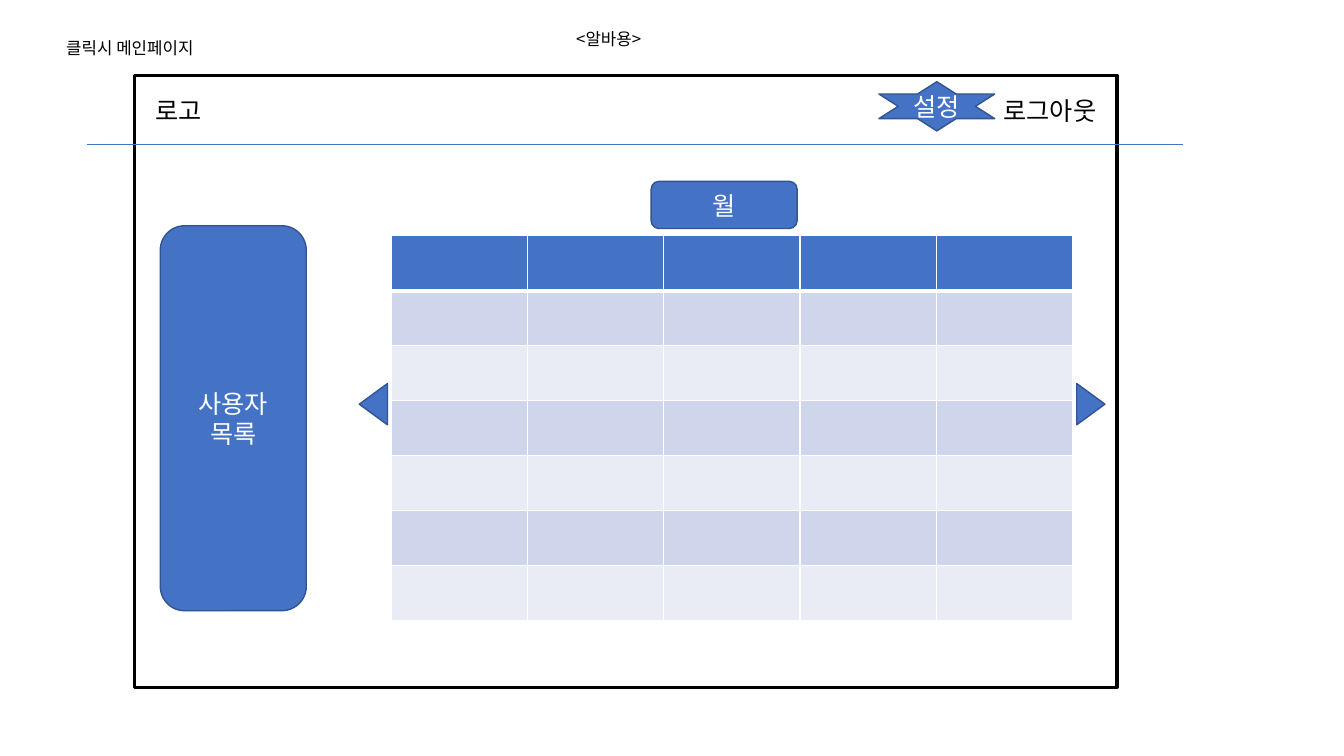
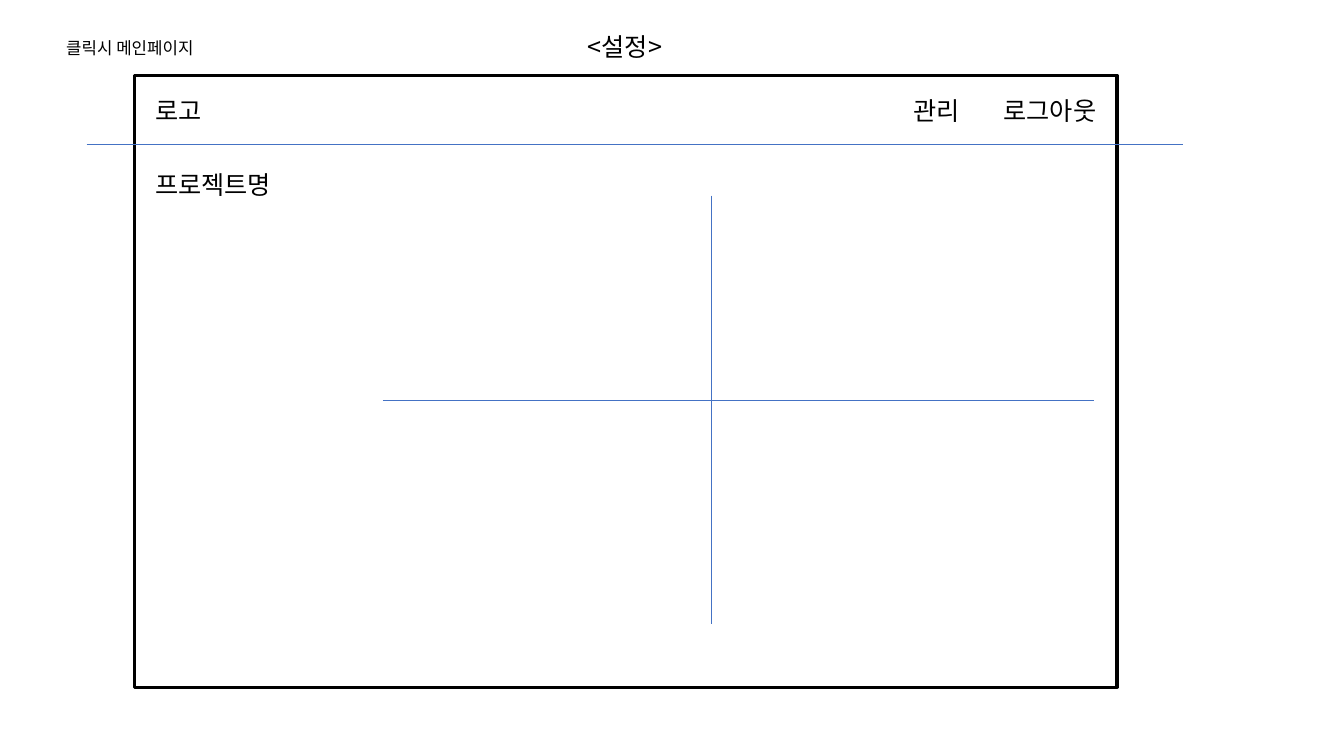
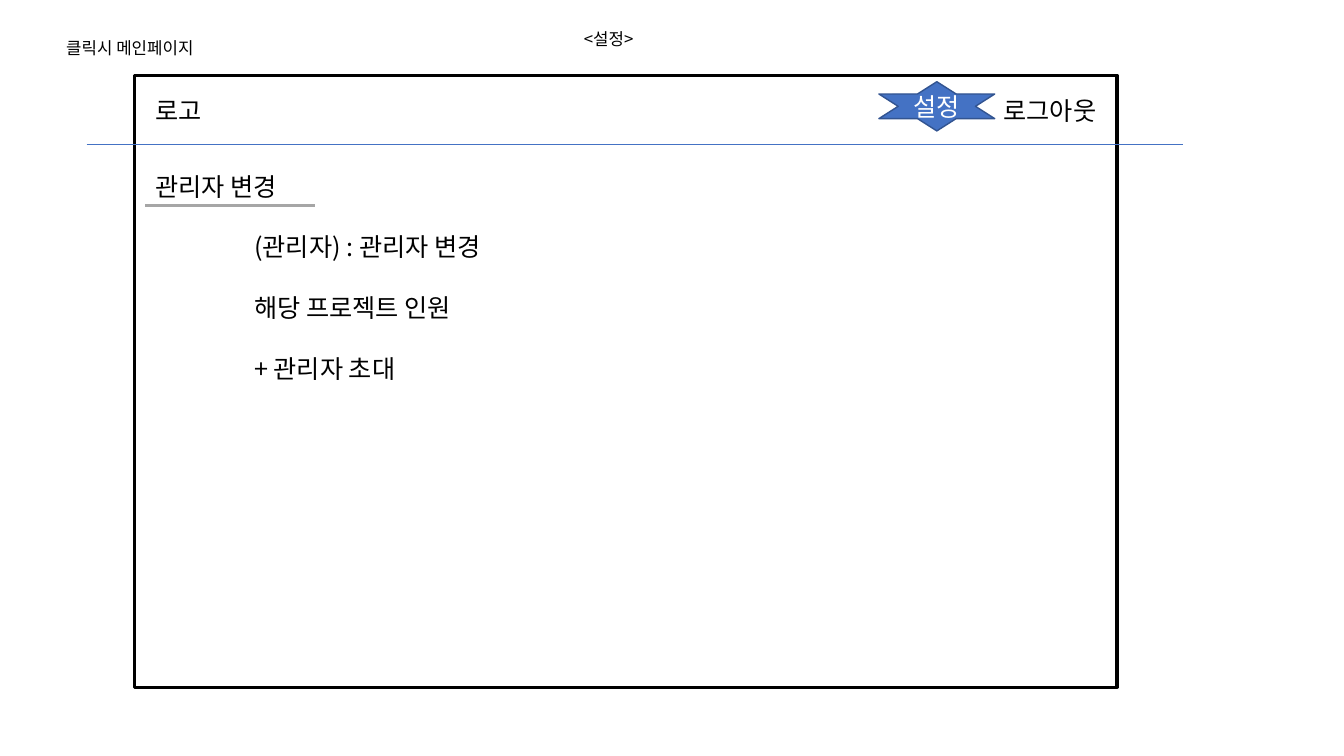
from lxml import etree
from pptx import Presentation
from pptx.dml.color import RGBColor
from pptx.enum import shapes, text
from pptx.oxml.ns import qn
from pptx.util import Cm, Pt

FONT = "Noto Sans CJK KR"
BLACK = RGBColor(0x00, 0x00, 0x00)
WHITE = RGBColor(0xFF, 0xFF, 0xFF)
BLUE = RGBColor(0x44, 0x72, 0xC4)
NAVY = RGBColor(0x32, 0x54, 0x91)
GRAY = RGBColor(0xA6, 0xA6, 0xA6)
BANDS = [RGBColor(0xE9, 0xEB, 0xF5), RGBColor(0xCF, 0xD5, 0xEA)]
SHAPE = shapes.MSO_SHAPE
LEFT, CENTER = text.PP_ALIGN.LEFT, text.PP_ALIGN.CENTER
TOP, MIDDLE = text.MSO_ANCHOR.TOP, text.MSO_ANCHOR.MIDDLE


def write(sp, lines, size=18, color=BLACK, align=LEFT, anchor=TOP, wrap=True, gap=0):
    tf = sp.text_frame
    frame_format = {"word_wrap": wrap, "vertical_anchor": anchor,
                    "auto_size": text.MSO_AUTO_SIZE.NONE}
    for name, value in frame_format.items():
        setattr(tf, name, value)
    tf.text = "\n".join(lines)
    para_format = {"alignment": align, "line_spacing": Pt(size * 1.22),
                   "space_before": Pt(0), "space_after": Pt(gap)}
    for p in tf.paragraphs:
        for name, value in para_format.items():
            setattr(p, name, value)
        for r in p.runs:
            r.font.size, r.font.bold, r.font.name = Pt(size), False, FONT
            r.font.color.rgb = color
    for rPr in sp.element.iter(qn("a:rPr")):
        etree.SubElement(rPr, qn("a:ea"), typeface=FONT)


def rule(s, x1, y1, x2, y2, color=BLUE, width=0.5):
    ln = s.shapes.add_connector(shapes.MSO_CONNECTOR.STRAIGHT,
                                Cm(x1), Cm(y1), Cm(x2), Cm(y2))
    ln.line.color.rgb, ln.line.width = color, Pt(width)
    etree.SubElement(ln.element.spPr, qn("a:effectLst"))


prs = Presentation()
prs.slide_width, prs.slide_height = Cm(33.87), Cm(19.05)

SMALL_TITLE = (12.42, 0.58, 5.84, 0.76)
LARGE_TITLE = (11.43, 0.64, 8.64, 1.02)
SHARED_LABELS = [
    ("로고", 12, 0) and ("로고", 18, (3.66, 2.26, 3.35, 1.02)),
    ("로그아웃", 18, (25.04, 2.26, 3.35, 1.02)),
    ("클릭시 메인페이지", 12, (1.42, 0.81, 5.84, 0.76)),
][0:3]
STAR = (SHAPE.STAR_6_POINT, (22.15, 2.06, 2.92, 1.24), 0, "설정")

pages = [
    {"layout": 5, "title": ("<알바용>", 12, SMALL_TITLE), "labels": [], "rules": [],
     "blocks": [
         (SHAPE.ROUNDED_RECTANGLE, (4.04, 5.69, 3.68, 9.7), 0, "사용자 목록"),
         (SHAPE.ISOSCELES_TRIANGLE, (8.89, 9.83, 1.04, 0.71), 270, ""),
         (SHAPE.ISOSCELES_TRIANGLE, (26.97, 9.83, 1.04, 0.71), 90, ""),
         (SHAPE.ROUNDED_RECTANGLE, (16.41, 4.57, 3.68, 1.19), 0, "월"),
         STAR]},
    {"layout": 5, "title": ("<설정>", 18, LARGE_TITLE),
     "labels": [("관리", 18, (22.78, 2.26, 1.98, 1.02)),
                ("프로젝트명", 18, (3.66, 4.14, 4.34, 1.02))],
     "rules": [(9.65, 10.08, 27.58, 10.08), (17.93, 4.93, 17.93, 15.72)],
     "blocks": []},
    {"layout": 1, "title": ("<설정>", 12, SMALL_TITLE),
     "labels": [("관리자 변경", 18, (3.66, 4.17, 4.06, 1.02))],
     "rules": [(3.66, 5.18, 7.95, 5.18, GRAY, 1.75)],
     "blocks": [STAR]},
]

for page in pages:
    s = prs.slides.add_slide(prs.slide_layouts[page["layout"]])

    label, size, box = page["title"]
    title = s.shapes.title
    title.left, title.top, title.width, title.height = map(Cm, box)
    write(title, [label], size, align=CENTER)

    frame = s.shapes.add_shape(SHAPE.RECTANGLE, Cm(3.38), Cm(1.9), Cm(24.77), Cm(15.42))
    frame.shadow.inherit = False
    frame.fill.background()
    frame.line.color.rgb, frame.line.width = BLACK, Pt(2.25)
    rule(s, 2.18, 3.63, 29.82, 3.63)

    for label, size, box in SHARED_LABELS + page["labels"]:
        write(s.shapes.add_textbox(*map(Cm, box)), [label], size)
    for ends in page["rules"]:
        rule(s, *ends)
    for kind, box, turn, label in page["blocks"]:
        sp = s.shapes.add_shape(kind, *map(Cm, box))
        sp.shadow.inherit = False
        sp.rotation = turn
        sp.fill.solid()
        sp.fill.fore_color.rgb = BLUE
        sp.line.color.rgb, sp.line.width = NAVY, Pt(1)
        if label:
            write(sp, [label], 18, WHITE, CENTER, MIDDLE, wrap=kind != SHAPE.STAR_6_POINT)

calendar = prs.slides[0].shapes.add_table(7, 5, Cm(9.86), Cm(5.94), Cm(17.17), Cm(9.7)).table
for i, row in enumerate(calendar.rows):
    for cell in row.cells:
        tcPr = cell._tc.get_or_add_tcPr()
        for side in "LRTB":
            thick = (i, side) in [(0, "B"), (1, "T")]
            ln = etree.SubElement(tcPr, qn("a:ln" + side), w=str(Pt(3 if thick else 1)))
            fill = etree.SubElement(ln, qn("a:solidFill"))
            etree.SubElement(fill, qn("a:srgbClr"), val=str(WHITE))
        cell.fill.solid()
        cell.fill.fore_color.rgb = BANDS[i % 2] if i else BLUE

body = prs.slides[2].placeholders[1]
body.left, body.top, body.width, body.height = map(Cm, (6.15, 5.69, 12.12, 4.88))
write(body, ["(관리자) : 관리자 변경", "해당 프로젝트 인원", "+ 관리자 초대"], gap=21.6)
for p in body.text_frame.paragraphs:
    pPr = p._p.get_or_add_pPr()
    pPr.set("marL", "0")
    pPr.set("indent", "0")
    etree.SubElement(pPr, qn("a:buNone"))

prs.save("out.pptx")
